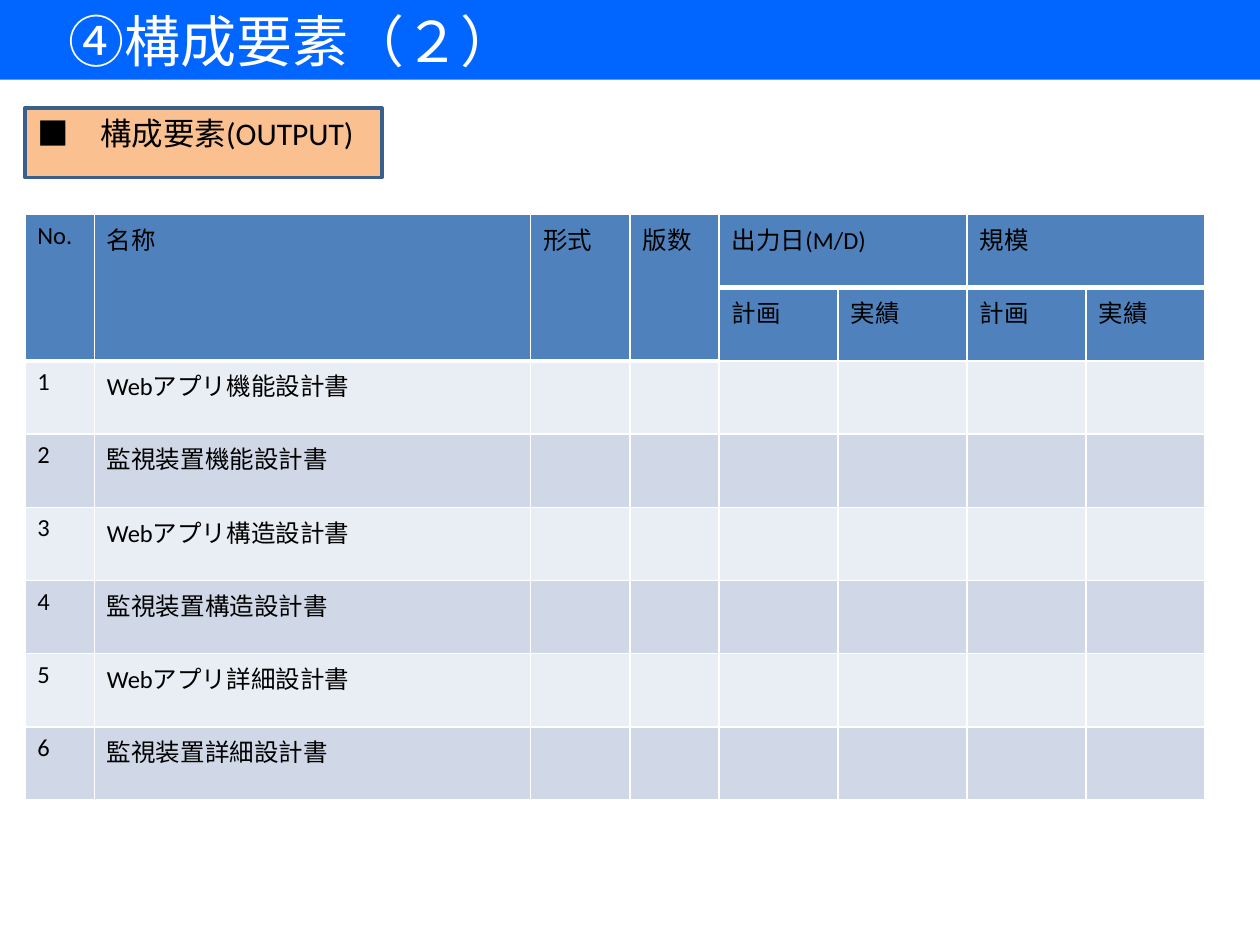
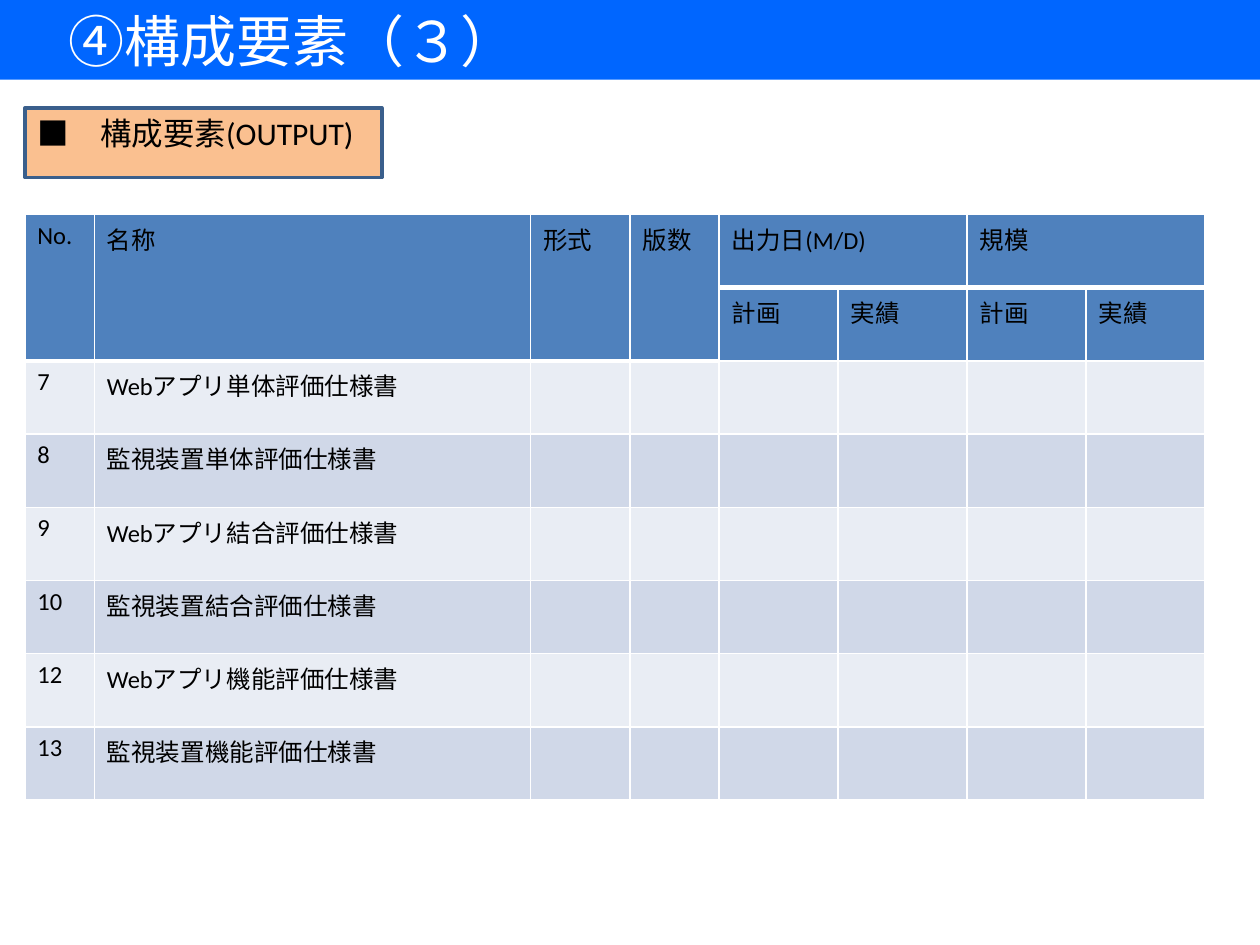
from lxml import etree
from pptx import Presentation
from pptx.dml.color import RGBColor
from pptx.enum.shapes import MSO_SHAPE
from pptx.enum.text import MSO_ANCHOR, MSO_AUTO_SIZE, PP_ALIGN
from pptx.oxml.ns import qn
from pptx.util import Pt

RECT = MSO_SHAPE.RECTANGLE
TOP, MIDDLE = MSO_ANCHOR.TOP, MSO_ANCHOR.MIDDLE
NO_FIT = MSO_AUTO_SIZE.NONE
LEFT = PP_ALIGN.LEFT

COLORS = {
    "white": "FFFFFF",
    "black": "000000",
    "band": "0066FF",
    "label": "FAC090",
    "label_line": "3A5F8C",
    "head": "4F81BD",
    "odd": "E9EDF4",
    "even": "D0D8E8",
}
WIDTH, HEIGHT = 720, 540
MARGIN = 14.17
COLS = [39.7, 249.4, 56.7, 51, 68, 73.7, 68, 68]
ROW_HEIGHT = 41.85
HEAD = [
    ["No.", "名称", "形式", "版数", "出力日(M/D)", "", "規模", ""],
    ["", "", "", "", "計画", "実績", "計画", "実績"],
]
MERGES = [(0, c, 1, c) for c in range(4)] + [(0, 4, 0, 5), (0, 6, 0, 7)]
TARGETS = ["Webアプリ", "監視装置"]
SLIDES = [
    ("２", [1, 2, 3, 4, 5, 6], ["機能設計書", "構造設計書", "詳細設計書"]),
    ("３", [7, 8, 9, 10, 12, 13],
     ["単体評価仕様書", "結合評価仕様書", "機能評価仕様書"]),
]


class Deck:
    """Holds the shared style and the slide being built."""

    def __init__(self):
        self.prs = Presentation()
        self.prs.slide_width, self.prs.slide_height = Pt(WIDTH), Pt(HEIGHT)
        self.s = None

    def color(self, name):
        return RGBColor.from_string(COLORS[name])

    def fill(self, obj, name):
        obj.fill.solid()
        obj.fill.fore_color.rgb = self.color(name)

    def text(self, tf, text, size, font, color):
        p = tf.paragraphs[0]
        p.text = text
        p.alignment = LEFT
        p.font.size, p.font.name, p.font.bold = Pt(size), font, False
        p.font.color.rgb = self.color(color)

    def new_slide(self, title):
        self.s = self.prs.slides.add_slide(self.prs.slide_layouts[5])
        sp = self.s.shapes.title
        sp.left, sp.top, sp.width, sp.height = 0, 0, Pt(WIDTH), Pt(45.5)
        self.fill(sp, "band")
        tf = sp.text_frame
        tf.auto_size, tf.vertical_anchor = NO_FIT, MIDDLE
        self.text(tf, title, 32, "Cambria", "white")

    def label(self, text):
        sp = self.s.shapes.add_shape(
            RECT, Pt(MARGIN), Pt(61.7), Pt(204), Pt(39.7))
        sp.shadow.inherit = False
        self.fill(sp, "label")
        sp.line.color.rgb, sp.line.width = self.color("label_line"), Pt(2)
        sp.text_frame.vertical_anchor = TOP
        self.text(sp.text_frame, text, 18, "Calibri", "black")

    def borders(self, cell, row):
        widths = {"L": 1, "R": 1, "T": 3 if row == 1 else 1,
                  "B": 3 if row == 0 else 1}
        tc_pr = cell._tc.get_or_add_tcPr()
        for side, width in widths.items():
            ln = etree.SubElement(tc_pr, qn(f"a:ln{side}"), w=str(Pt(width)))
            solid = etree.SubElement(ln, qn("a:solidFill"))
            etree.SubElement(solid, qn("a:srgbClr"), val=COLORS["white"])

    def table(self, rows):
        shape = self.s.shapes.add_table(
            len(rows), len(COLS), Pt(MARGIN), Pt(122.5),
            Pt(sum(COLS)), Pt(ROW_HEIGHT * len(rows)))
        tbl = shape.table
        tbl.first_row = tbl.horz_banding = False
        for col, width in zip(tbl.columns, COLS):
            col.width = Pt(width)
        for r, values in enumerate(rows):
            tbl.rows[r].height = Pt(ROW_HEIGHT)
            name = "head" if r < len(HEAD) else ("odd", "even")[r % 2]
            for c, value in enumerate(values):
                cell = tbl.cell(r, c)
                self.borders(cell, r)
                self.fill(cell, name)
                self.text(cell.text_frame, value, 14, "Calibri", "black")
        for r1, c1, r2, c2 in MERGES:
            tbl.cell(r1, c1).merge(tbl.cell(r2, c2))


deck = Deck()
for part, numbers, documents in SLIDES:
    deck.new_slide(f"　④構成要素（{part}）")
    deck.label("■　構成要素(OUTPUT)")
    names = [target + doc for doc in documents for target in TARGETS]
    body = [[str(n), name] + [""] * 6 for n, name in zip(numbers, names)]
    deck.table(HEAD + body)
deck.prs.save("out.pptx")
